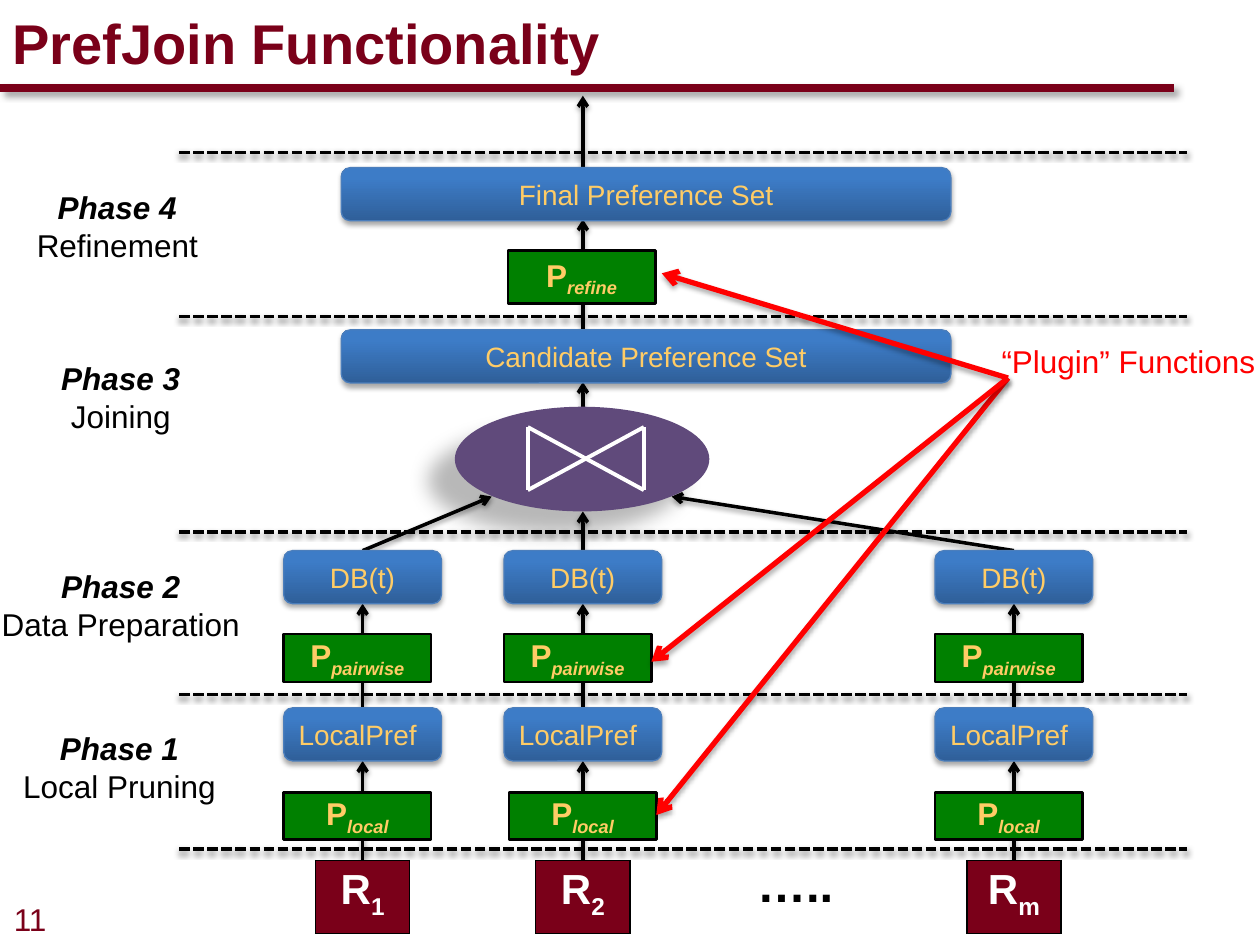
from lxml import etree
from pptx import Presentation
from pptx.dml.color import RGBColor
from pptx.enum.dml import MSO_LINE
from pptx.enum.shapes import MSO_CONNECTOR, MSO_SHAPE
from pptx.enum.text import MSO_ANCHOR, PP_ALIGN
from pptx.oxml import parse_xml
from pptx.oxml.ns import nsdecls, qn
from pptx.util import Cm, Pt

STRAIGHT = MSO_CONNECTOR.STRAIGHT
RECT, ROUND, OVAL = MSO_SHAPE.RECTANGLE, MSO_SHAPE.ROUNDED_RECTANGLE, MSO_SHAPE.OVAL
LEFT, CENTER = PP_ALIGN.LEFT, PP_ALIGN.CENTER
TOP, MIDDLE = MSO_ANCHOR.TOP, MSO_ANCHOR.MIDDLE
DASH = MSO_LINE.SQUARE_DOT

THEME = {
    "font": "Arial",
    "maroon": RGBColor.from_string("7A0019"),
    "black": RGBColor.from_string("000000"),
    "white": RGBColor.from_string("FFFFFF"),
    "red": RGBColor.from_string("FF0000"),
    "gold": RGBColor.from_string("FFCC66"),
    "green": RGBColor.from_string("008000"),
    "purple": RGBColor.from_string("604A7B"),
    "blue_dark": RGBColor.from_string("2F5F99"),
    "blue_light": RGBColor.from_string("3D7CC7"),
    "blue_edge": RGBColor.from_string("4B7EBC"),
    "title": 32, "dots": 28, "relation": 24, "body": 18, "box": 16,
}
LINE_SHADOW = (38, 3.1, 1.6, 90)
BOX_SHADOW = (35, 3.1, 1.8, 90)
BAR_SHADOW = (40, 4, 3, 45)
JOIN_SHADOW = (28, 11.8, 19.7, 141)

prs = Presentation()
prs.slide_width, prs.slide_height = Cm(25.4), Cm(19.05)
slide = prs.slides.add_slide(prs.slide_layouts[6])
effects = []


def write(tf, paragraphs, size, color, align=CENTER, anchor=TOP, wrap=True):
    tf.word_wrap = wrap
    tf.vertical_anchor = anchor
    for i, runs in enumerate(paragraphs):
        p = tf.paragraphs[0] if i == 0 else tf.add_paragraph()
        p.alignment = align
        for text, style in runs:
            r = p.add_run()
            r.text = text
            r.font.name, r.font.size = THEME["font"], Pt(THEME[size])
            r.font.color.rgb = THEME[color]
            r.font.bold, r.font.italic = "b" in style, "i" in style
            if "s" in style:
                r.font._element.set("baseline", "-25000")


def draw_line(parent, points, color, width, shadow, arrow=False, dash=None):
    s = parent.add_connector(STRAIGHT, *[Cm(v) for v in points])
    s.line.color.rgb, s.line.width = THEME[color], Pt(width)
    if dash:
        s.line.dash_style = dash
    if arrow:
        etree.SubElement(s.line._get_or_add_ln(), qn("a:tailEnd"), type="arrow")
    effects.append((s, shadow))


draw_line(slide.shapes, (0, 1.78, 23.67, 1.78), "maroon", 4.5, BAR_SHADOW)
for y in (3.07, 6.38, 10.72, 14, 17.12):
    draw_line(slide.shapes, (3.61, y, 23.93, y), "black", 2, LINE_SHADOW, dash=DASH)

columns = [(5.72, 5.72, "1", 9.91), (10.16, 10.26, "2", 11.75), (18.85, 18.85, "m", 13.54)]
plugins = [(10.24, 5.05, 2.97, 1.07, "refine")]
steps = [
    (6.88, 6.65, 12.29, 1.07, "Candidate Preference Set", CENTER),
    (6.88, 3.38, 12.29, 1.07, "Final Preference Set", CENTER),
]
arrows = [
    (11.75, 8.2, 11.75, 7.7),
    (11.75, 6.65, 11.75, 4.42),
    (11.75, 3.38, 11.75, 1.93),
]
for left, local_left, name, join_x in columns:
    mid = left + 1.59
    join_y = 10.31 if name == "2" else 10.01
    arrows += [
        (mid, 17.35, mid, 15.34),
        (mid, 14.27, mid, 12.17),
        (mid, 11.1, join_x, join_y),
    ]
    plugins += [
        (local_left, 15.98, 2.97, 0.94, "local"),
        (left, 12.78, 2.97, 0.97, "pairwise"),
    ]
    steps += [
        (left, 14.27, 3.18, 1.07, "LocalPref", LEFT),
        (left, 11.1, 3.18, 1.07, "DB(t)", CENTER),
    ]
for points in arrows:
    draw_line(slide.shapes, points, "black", 2, LINE_SHADOW, arrow=True)

join = slide.shapes.add_group_shape().shapes
s = join.add_shape(OVAL, Cm(9.17), Cm(8.2), Cm(5.13), Cm(2.11))
s.fill.solid()
s.fill.fore_color.rgb = THEME["purple"]
s.line.fill.background()
effects.append((s, JOIN_SHADOW))
x1, x2, y1, y2 = 10.64, 12.98, 8.61, 9.88
for points in ((x1, y1, x2, y2), (x1, y2, x2, y1), (x1, y1, x1, y2), (x2, y1, x2, y2)):
    draw_line(join, points, "white", 2.25, None)

for x, y, w, h, name in plugins:
    s = slide.shapes.add_shape(RECT, Cm(x), Cm(y), Cm(w), Cm(h))
    s.fill.solid()
    s.fill.fore_color.rgb = THEME["green"]
    s.line.color.rgb, s.line.width = THEME["black"], Pt(1.5)
    write(s.text_frame, [[("P", "b"), (name, "bis")]], "body", "gold", anchor=MIDDLE, wrap=False)
    effects.append((s, None))

for x, y, w, h, name, align in steps:
    s = slide.shapes.add_shape(ROUND, Cm(x), Cm(y), Cm(w), Cm(h))
    s.fill.gradient()
    s.fill.gradient_angle = 90
    dark, light = s.fill.gradient_stops
    dark.color.rgb, light.color.rgb = THEME["blue_dark"], THEME["blue_light"]
    dark.position, light.position = 0, 0.8
    s.line.color.rgb, s.line.width = THEME["blue_edge"], Pt(0.75)
    write(s.text_frame, [[(name, "")]], "box", "gold", align, MIDDLE)
    effects.append((s, BOX_SHADOW))

for left, _, name, _ in columns:
    table = slide.shapes.add_table(1, 1, Cm(left + 0.64), Cm(17.35), Cm(1.9), Cm(1.47)).table
    cell = table.cell(0, 0)
    write(cell.text_frame, [[("R", "b"), (name, "bs")]], "relation", "white")
    tcPr = cell._tc.get_or_add_tcPr()
    for side in ("lnL", "lnR", "lnT", "lnB"):
        tcPr.append(parse_xml(
            f'<a:{side} {nsdecls("a")} w="12700"><a:solidFill>'
            f'<a:srgbClr val="{THEME["black"]}"/></a:solidFill></a:{side}>'))
    cell.fill.solid()
    cell.fill.fore_color.rgb = THEME["maroon"]

for x, y in ((13.34, 5.51), (13.23, 16.43), (13.13, 13.34)):
    draw_line(slide.shapes, (20.32, 7.62, x, y), "red", 3, BOX_SHADOW, arrow=True)

labels = [
    (0, 0, 25.4, 1.7, [[("PrefJoin Functionality", "b")]], "title", "maroon", LEFT, MIDDLE),
    (0.03, 18.01, 1.3, 1.02, [[("11", "")]], "body", "maroon", LEFT, TOP, False),
    (14.86, 17.09, 2.34, 1.45, [[("…..", "b")]], "dots", "black"),
    (19.94, 6.78, 6.35, 1.02, [[("“Plugin” Functions", "")]], "body", "red", LEFT),
]
phases = [
    (-0.13, 14.58, 5.08, "Local Pruning"),
    (-0.64, 11.3, 6.15, "Data Preparation"),
    (-0.64, 7.11, 6.15, "Joining"),
    (-0.71, 3.66, 6.15, "Refinement"),
]
for i, (x, y, w, name) in enumerate(phases, 1):
    labels.append((x, y, w, 1.8, [[(f"Phase {i}", "bi")], [(name, "")]], "body", "black"))
for x, y, w, h, *content in labels:
    s = slide.shapes.add_textbox(Cm(x), Cm(y), Cm(w), Cm(h))
    write(s.text_frame, *content)

for s, shadow in effects:
    effect = etree.SubElement(s._element.spPr, qn("a:effectLst"))
    if shadow:
        alpha, blur, dist, angle = shadow
        effect.append(parse_xml(
            f'<a:outerShdw {nsdecls("a")} blurRad="{Pt(blur)}" dist="{Pt(dist)}" '
            f'dir="{angle * 60000}" rotWithShape="0"><a:srgbClr val="{THEME["black"]}">'
            f'<a:alpha val="{alpha * 1000}"/></a:srgbClr></a:outerShdw>'))

prs.save("out.pptx")
